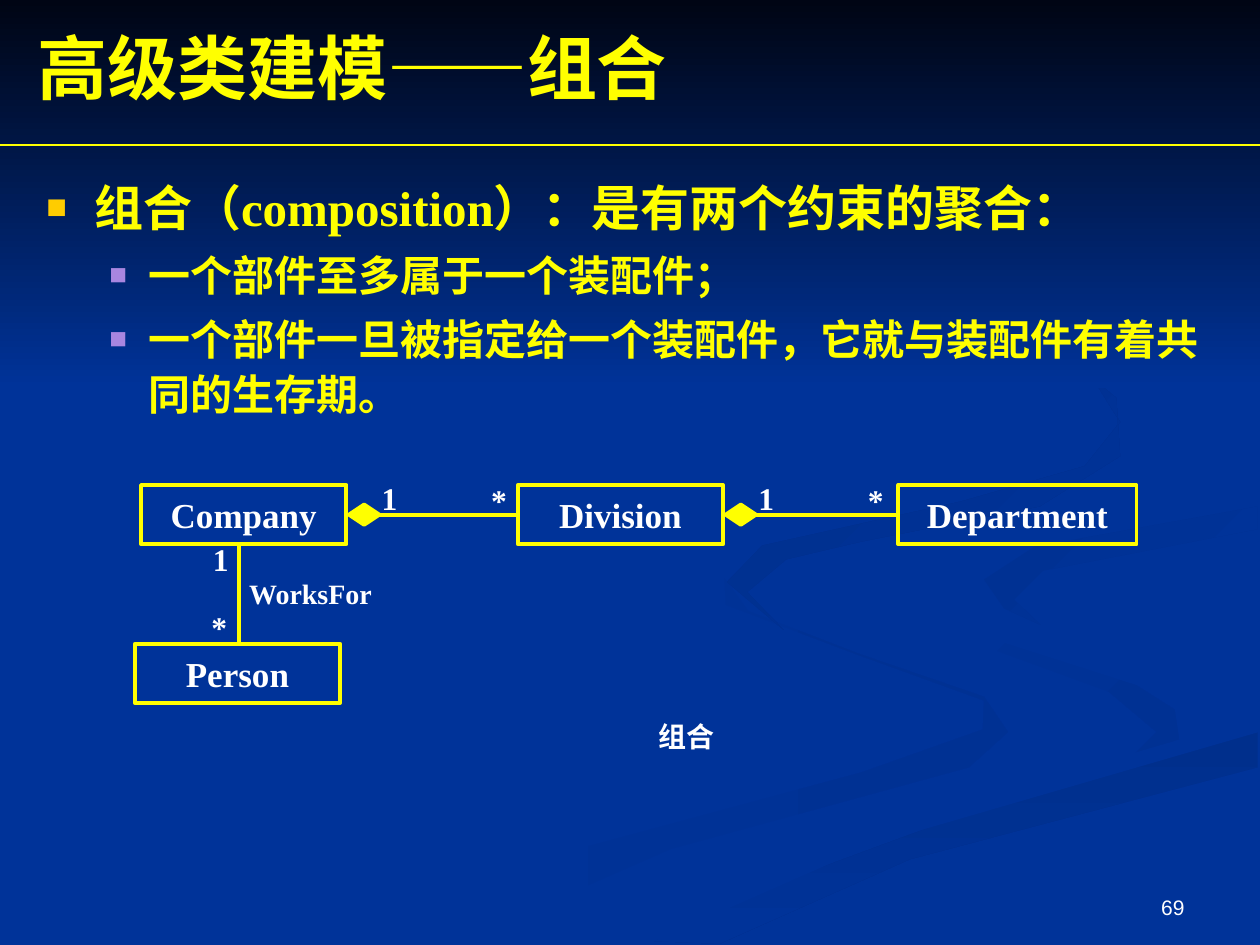
from lxml import etree
from pptx import Presentation
from pptx.dml.color import RGBColor
from pptx.enum.shapes import MSO_CONNECTOR, MSO_SHAPE
from pptx.enum.text import MSO_ANCHOR, PP_ALIGN
from pptx.oxml.ns import qn
from pptx.util import Inches, Pt

STRAIGHT = MSO_CONNECTOR.STRAIGHT
RECTANGLE, DIAMOND = MSO_SHAPE.RECTANGLE, MSO_SHAPE.DIAMOND
LEFT, CENTER, RIGHT = PP_ALIGN.LEFT, PP_ALIGN.CENTER, PP_ALIGN.RIGHT
TOP, MIDDLE, BOTTOM = MSO_ANCHOR.TOP, MSO_ANCHOR.MIDDLE, MSO_ANCHOR.BOTTOM
SIDE_LEFT, SIDE_RIGHT = 1, 3

COLS, ROWS = 1000, 750
CELL = Inches(10) // COLS
SERIF, SANS = "Times New Roman", "Arial"
COLORS = {
    "blue": "003399", "night": "000514", "yellow": "FFFF00", "white": "FFFFFF",
    "gold": "FFCC00", "violet": "A886E0", "shade": "003193", "deep shade": "002F8C",
}

RIBBONS = [
    ("blue", "shade", 0, [
        (781, 553), (682, 519), (594, 485), (575, 459), (576, 480), (679, 519), (781, 556),
        (780, 579), (684, 613), (458, 674), (300, 749), (361, 749), (532, 674), (769, 609),
        (800, 581)]),
    ("blue", "shade", 315, [
        (943, 570), (888, 535), (758, 498), (724, 464), (746, 500), (880, 549), (918, 581),
        (894, 605), (937, 586)]),
    ("deep shade", "blue", 270, [
        (519, 747), (571, 749), (722, 682), (998, 609), (998, 581), (764, 647), (569, 719)]),
    ("blue", "blue", 0, [
        (725, 464), (759, 498), (931, 553), (936, 587), (704, 655), (477, 749), (519, 747),
        (696, 669), (999, 581), (999, 538), (817, 492), (782, 460), (850, 427), (999, 402),
        (999, 387), (755, 432)]),
    ("shade", "blue", 315, [
        (781, 460), (797, 483), (826, 496), (805, 476), (828, 453), (998, 420), (998, 402),
        (821, 434)]),
    ("deep shade", "blue", 315, [
        (683, 430), (825, 402), (889, 362), (886, 316), (821, 261), (762, 233), (862, 292),
        (889, 335), (861, 370), (763, 398), (605, 433), (577, 462), (622, 500), (593, 470),
        (624, 444)]),
]


def rgb(name):
    """Look up a named colour."""
    return RGBColor.from_string(COLORS[name])


def place(box, *cells):
    """Turn left, top, width, height within a box into slide lengths."""
    left, top, width, height = cells
    return [round(n * CELL) for n in (box[0] + left, box[1] + top, width, height)]


def style_runs(paragraph, size, color, font=SERIF, bold=True):
    """Format every run of a paragraph."""
    for run in paragraph.runs:
        run.font.size, run.font.name, run.font.bold = Pt(size), font, bold
        run.font.color.rgb = rgb(color)


def fill_text(frame, text, size, color, align=LEFT, anchor=TOP, font=SERIF, bold=True):
    """Write one paragraph into a text frame."""
    frame.word_wrap, frame.vertical_anchor = True, anchor
    frame.text = text
    frame.paragraphs[0].alignment = align
    style_runs(frame.paragraphs[0], size, color, font, bold)


def add_label(slide, box, cells, text, size, color="white", **options):
    """Add a text box inside a region."""
    label = slide.shapes.add_textbox(*place(box, *cells))
    fill_text(label.text_frame, text, size, color, **options)
    return label


def add_line(slide, box, start, end, width):
    """Add a yellow straight connector without a shadow."""
    line = slide.shapes.add_connector(
        STRAIGHT, *place(box, *start, 0, 0)[:2], *place(box, *end, 0, 0)[:2])
    line.line.color.rgb, line.line.width = rgb("yellow"), Pt(width)
    etree.SubElement(line._element.spPr, qn("a:effectLst"))
    return line


def add_gradient_outline(slide, box, points, first, last, angle):
    """Draw a closed outline with a two-colour gradient and no line."""
    builder = slide.shapes.build_freeform(*points[0], scale=CELL)
    builder.add_line_segments(points[1:], close=True)
    outline = builder.convert_to_shape(*place(box, 0, 0, 0, 0)[:2])
    outline.shadow.inherit = False
    outline.line.fill.background()
    outline.fill.gradient()
    outline.fill.gradient_angle = angle
    for stop, color in zip(outline.fill.gradient_stops, (first, last)):
        stop.color.rgb = rgb(color)


def add_backdrop(slide, box):
    """Paint the blue ground, the ribbons and the dark upper band."""
    slide.background.fill.solid()
    slide.background.fill.fore_color.rgb = rgb("blue")
    for first, last, angle, points in RIBBONS:
        add_gradient_outline(slide, box, points, first, last, angle)
    width, depth = box[2], 308
    band = [(0, 0), (0, depth), (width, depth), (width, 0)]
    add_gradient_outline(slide, box, band, "night", "blue", 270)


def add_heading(slide, box):
    """Write the title over its full-width rule."""
    title = add_label(slide, box, (20, 14, 900, 77), "高级类建模", 40, "yellow", anchor=MIDDLE)
    paragraph = title.text_frame.paragraphs[0]
    for part in ("——", "组合"):
        paragraph.add_run().text = part
    style_runs(paragraph, 40, "yellow")
    paragraph.runs[1].font.name = SANS
    add_line(slide, box, (0, box[3]), (box[2], box[3]), 0.75)


def add_bullet(paragraph, color, margin, hang):
    """Give a paragraph a small square bullet and a hanging indent."""
    properties = paragraph._p.get_or_add_pPr()
    properties.set("marL", str(margin * CELL))
    properties.set("indent", str(-hang * CELL))
    bullet_color = etree.SubElement(properties, qn("a:buClr"))
    etree.SubElement(bullet_color, qn("a:srgbClr"), val=COLORS[color])
    etree.SubElement(properties, qn("a:buSzPct"), val="70000")
    etree.SubElement(properties, qn("a:buFont"), typeface=SANS)
    etree.SubElement(properties, qn("a:buChar"), char="■")


def add_definition(slide, box):
    """Write the definition and its two constraints as bullets."""
    points = [
        (0, "组合（composition）：是有两个约束的聚合："),
        (1, "一个部件至多属于一个装配件；"),
        (1, "一个部件一旦被指定给一个装配件，它就与装配件有着共同的生存期。"),
    ]
    levels = [("gold", 38, 38, 28), ("violet", 81, 31, 24)]
    frame = slide.shapes.add_textbox(*place(box, 0, 0, *box[2:])).text_frame
    frame.word_wrap = True
    frame.text = "\n".join(text for _, text in points)
    for paragraph, (level, _) in zip(frame.paragraphs, points):
        color, margin, hang, size = levels[level]
        paragraph.level = level
        add_bullet(paragraph, color, margin, hang)
        paragraph.line_spacing = 1.1
        paragraph.space_before = Pt(0.2 * size * level)
        style_runs(paragraph, size, "yellow")


def add_class(slide, box, left, top, width, name):
    """Add a class rectangle with its name."""
    node = slide.shapes.add_shape(RECTANGLE, *place(box, left, top, width, 47))
    node.shadow.inherit = False
    node.fill.background()
    node.line.color.rgb, node.line.width = rgb("yellow"), Pt(2.25)
    fill_text(node.text_frame, name, 20, "white", align=CENTER, anchor=MIDDLE)
    return node


def add_composition(slide, box, left, part):
    """Join a whole, whose right side is at left, to its part."""
    diamond = slide.shapes.add_shape(DIAMOND, *place(box, left + 2, 15.5, 24, 16))
    diamond.shadow.inherit = False
    diamond.fill.solid()
    diamond.fill.fore_color.rgb = rgb("yellow")
    diamond.line.color.rgb, diamond.line.width = rgb("yellow"), Pt(2.25)
    link = add_line(slide, box, (left + 26, 23.5), (left + 136, 23.5), 2.25)
    link.begin_connect(diamond, SIDE_RIGHT)
    link.end_connect(part, SIDE_LEFT)
    add_label(slide, box, (left + 18, -10, 32, 40), "1", 18)
    add_label(slide, box, (left + 105, -8, 32, 40), "*", 18)


def add_class_diagram(slide, box):
    """Draw the classes, their associations and the caption."""
    add_class(slide, box, 5, 0, 163, "Company")
    division = add_class(slide, box, 304, 0, 163, "Division")
    department = add_class(slide, box, 606, 0, 189, "Department")
    add_class(slide, box, 0, 126, 163, "Person")
    add_composition(slide, box, 168, division)
    add_composition(slide, box, 467, department)
    add_line(slide, box, (83, 47), (83, 126), 2.25)
    add_label(slide, box, (52, 39, 32, 40), "1", 18)
    add_label(slide, box, (51, 93, 32, 40), "*", 18)
    add_label(slide, box, (81, 68, 120, 37), "WorksFor", 16)
    add_label(slide, box, (406, 181, 94, 37), "组合", 16)


def add_page_number(slide, box):
    """Write the page number at the lower right of its box."""
    add_label(slide, box, (0, 0, *box[2:]), "69", 12,
              align=RIGHT, anchor=BOTTOM, font=SANS, bold=False)


def main():
    """Build and save the slide."""
    deck = Presentation()
    deck.slide_width, deck.slide_height = COLS * CELL, ROWS * CELL
    slide = deck.slides.add_slide(deck.slide_layouts[6])
    add_backdrop(slide, (0, 0, COLS, ROWS))
    add_heading(slide, (0, 0, COLS, 115))
    add_definition(slide, (27, 131, 937, 236))
    add_class_diagram(slide, (107, 385, 795, 218))
    add_page_number(slide, (717, 683, 233, 52))
    deck.save("out.pptx")


if __name__ == "__main__":
    main()
